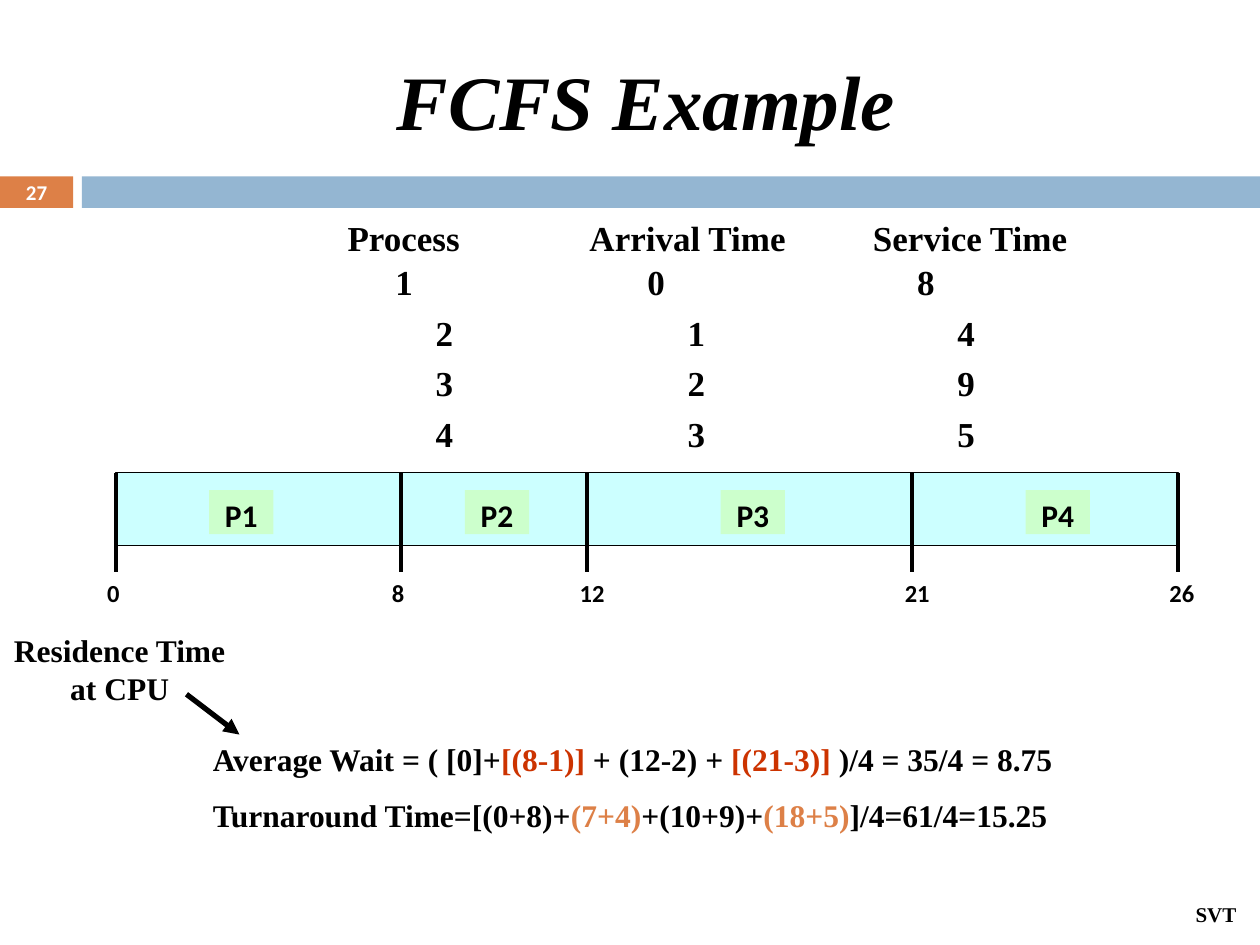
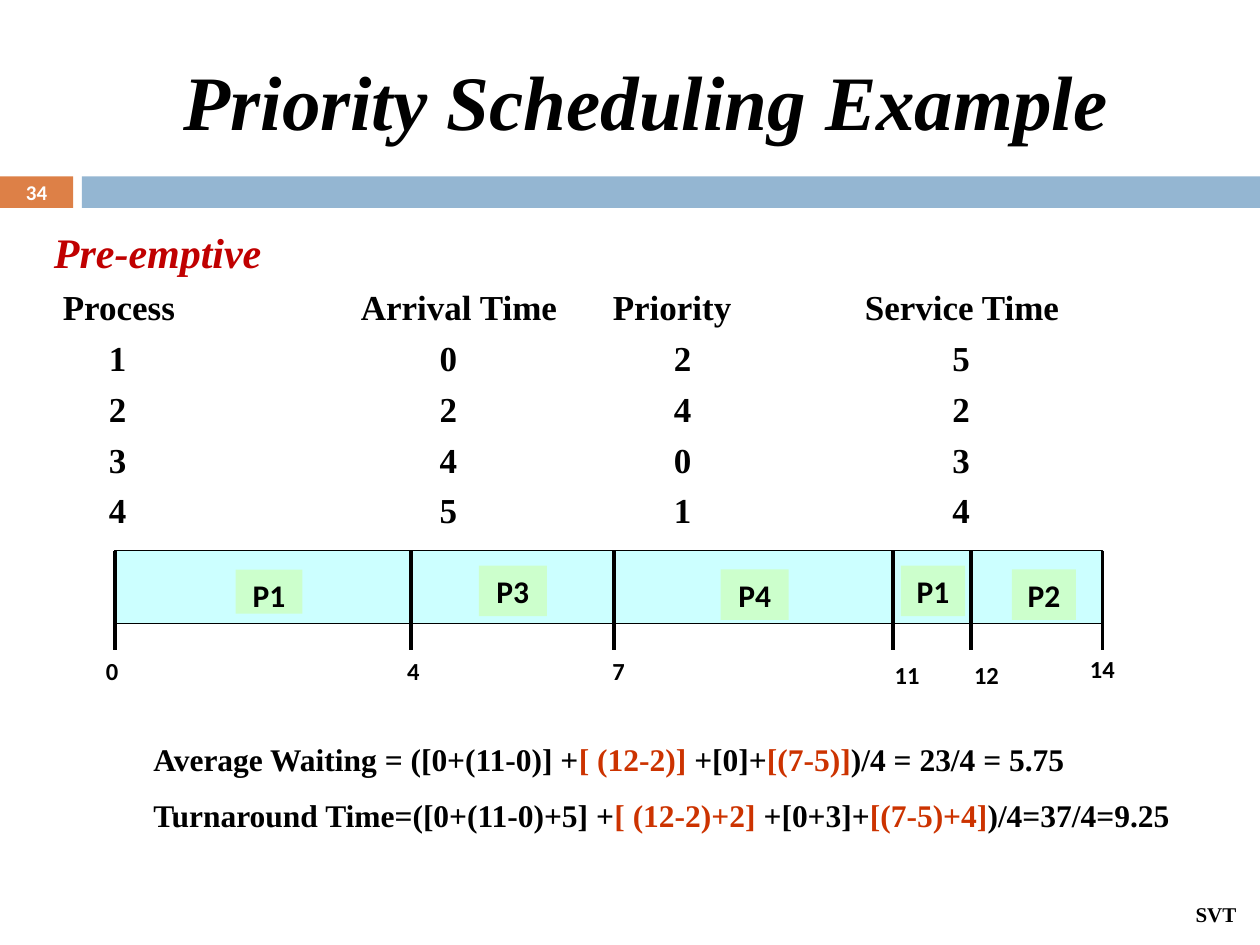
from lxml.etree import SubElement
from pptx import Presentation
from pptx.dml.color import RGBColor
from pptx.enum.shapes import MSO_CONNECTOR, MSO_SHAPE
from pptx.enum.text import MSO_ANCHOR, PP_ALIGN
from pptx.oxml.ns import qn
from pptx.util import Inches, Pt

COLORS = {
    "black": "000000", "white": "FFFFFF", "orange": "DD8047", "blue": "94B6D2",
    "bar": "CCFFFF", "job": "CCFFCC", "red": "CC3300", "crimson": "C00000",
}
SERIF, SANS = "Times New Roman", "Calibri"
COLUMNS, ROWS = 100, 75


class SchedulingDeck:
    def __init__(self):
        self.deck = Presentation()
        self.deck.slide_width, self.deck.slide_height = Inches(10), Inches(7.5)
        self.page = None

    def column(self, count):
        return round(self.deck.slide_width * count / COLUMNS)

    def row(self, count):
        return round(self.deck.slide_height * count / ROWS)

    def area(self, left, top, width, height):
        return self.column(left), self.row(top), self.column(width), self.row(height)

    def color(self, name):
        return RGBColor.from_string(COLORS[name])

    def start_page(self, title, number):
        self.page = self.deck.slides.add_slide(self.deck.slide_layouts[6])
        self.rectangle((0, 14, 5.8, 2.5), "orange")
        self.rectangle((6.5, 14, 93.5, 2.5), "blue")
        self.text((6.7, 2.5, 89.2, 10.8), [[(title, "black")]], size=44, italic=True,
                  align=PP_ALIGN.CENTER, anchor=MSO_ANCHOR.MIDDLE)
        self.text((0, 13.9, 5.8, 2.7), [[(number, "white")]], size=12, font=SANS,
                  align=PP_ALIGN.CENTER, anchor=MSO_ANCHOR.MIDDLE)
        self.text((93.9, 71.1, 5.3, 3), [[("SVT", "black")]], size=12, wrap=False)

    def rectangle(self, area, fill, line=None):
        shape = self.page.shapes.add_shape(MSO_SHAPE.RECTANGLE, *self.area(*area))
        shape.shadow.inherit = False
        shape.fill.solid()
        shape.fill.fore_color.rgb = self.color(fill)
        if line:
            shape.line.color.rgb = self.color(line)
            shape.line.width = Pt(0.75)
        else:
            shape.line.fill.background()
        return shape

    def add_spans(self, para, spans, size, font=SERIF, italic=False):
        for words, color in spans:
            span = para.add_run()
            span.text = words
            span.font.name, span.font.size = font, Pt(size)
            span.font.bold, span.font.italic = True, italic
            span.font.color.rgb = self.color(color)

    def fill_frame(self, frame, paragraphs, size, font=SERIF, italic=False,
                   align=PP_ALIGN.LEFT, anchor=MSO_ANCHOR.TOP, spacing=1.0, wrap=True):
        frame.word_wrap = wrap
        frame.vertical_anchor = anchor
        for index, spans in enumerate(paragraphs):
            para = frame.add_paragraph() if index else frame.paragraphs[0]
            para.alignment, para.line_spacing = align, spacing
            self.add_spans(para, spans, size, font, italic)

    def text(self, area, paragraphs, size=18, **style):
        box = self.page.shapes.add_textbox(*self.area(*area))
        self.fill_frame(box.text_frame, paragraphs, size, **style)

    def line(self, start, end, width=2.25, arrow=False):
        line = self.page.shapes.add_connector(
            MSO_CONNECTOR.STRAIGHT, self.column(start[0]), self.row(start[1]),
            self.column(end[0]), self.row(end[1]))
        line.line.color.rgb = self.color("black")
        line.line.width = Pt(width)
        properties = line._element.spPr
        if arrow:
            SubElement(properties.find(qn("a:ln")), qn("a:tailEnd"), type="triangle")
        SubElement(properties, qn("a:effectLst"))

    def process_list(self, top, rows, heading=None):
        left, inset = 3.3, 1
        box = self.page.shapes.add_textbox(*self.area(left, top, 94.2, 23.3))
        frame = box.text_frame
        frame.word_wrap = True
        para = frame.paragraphs[0]
        if heading:
            self.add_spans(para, [(heading, "crimson")], 24, italic=True)
            para = frame.add_paragraph()
        for index, (cells, stops, gap) in enumerate(rows):
            if index:
                para = frame.add_paragraph()
            para.space_before = Pt(gap)
            tabs = SubElement(para._p.get_or_add_pPr(), qn("a:tabLst"))
            for stop in stops:
                SubElement(tabs, qn("a:tab"), algn="l",
                           pos=str(self.column(stop - left - inset)))
            self.add_spans(para, [("\t" + cell, "black") for cell in cells], 20)

    def gantt(self, top, marks, jobs):
        first, last = marks[0][1], marks[-1][1]
        self.rectangle((first, top, last - first, 5.8), "bar", "black")
        for time, place, center, label_top in marks:
            self.line((place, top), (place, top + 7.9))
            self.text((center - 2, label_top, 4, 3), [[(time, "black")]], size=14,
                      font=SANS, align=PP_ALIGN.CENTER, wrap=False)
        for name, *area in jobs:
            shape = self.rectangle(area, "job")
            self.fill_frame(shape.text_frame, [[(name, "black")]], 18, font=SANS,
                            align=PP_ALIGN.CENTER, wrap=False)

    def formulas(self, left, width, paragraphs):
        self.text((left, 56.7, width, 10.1), paragraphs, spacing=1.5, wrap=False)


def fcfs_page(deck):
    deck.start_page("FCFS Example", "27")
    inner = (34.6, 54.6, 76)
    deck.process_list(16.7, [
        (("Process", "Arrival Time", "Service Time"), (27.6, 46.8, 69.3), 4),
        (("1", "0", "8"), (31.4, 51.4, 72.8), 1),
        (("2", "1", "4"), inner, 5),
        (("3", "2", "9"), inner, 5),
        (("4", "3", "5"), inner, 5),
    ])
    ticks = [("0", 9.2, 9), ("8", 31.8, 31.6), ("12", 46.6, 47),
             ("21", 72.4, 72.8), ("26", 93.5, 93.8)]
    lefts = (16.6, 36.9, 57.2, 81.4)
    deck.gantt(37.5, [(*tick, 45.4) for tick in ticks],
               [(f"P{number}", left, 38.9, 5.1, 3.5)
                for number, left in enumerate(lefts, 1)])
    deck.formulas(15.9, 68.8, [
        [("Average Wait = ( [0]+", "black"), ("[(8-1)] ", "red"),
         ("+ (12-2) + ", "black"), ("[(21-3)] ", "red"),
         (")/4 = 35/4 = 8.75", "black")],
        [("Turnaround Time=[(0+8)+", "black"), ("(7+4)", "orange"),
         ("+(10+9)+", "black"), ("(18+5)", "orange"), ("]/4=61/4=15.25", "black")],
    ])
    deck.text((0, 49.6, 19, 7.1),
              [[("Residence Time", "black")], [("at CPU", "black")]],
              align=PP_ALIGN.CENTER, wrap=False)
    deck.line((14.8, 55.1), (19, 58.3), width=3, arrow=True)


def priority_page(deck):
    deck.start_page("Priority Scheduling Example", "34")
    inner = (8.65, 34.9, 53.5, 75.6)
    values = ("1025", "2242", "3403", "4514")
    deck.process_list(17.5, [
        (("Process", "Arrival Time", "Priority", "Service Time"),
         (5, 28.65, 48.65, 68.65), 5),
        *((tuple(digits), inner, 5) for digits in values),
    ], heading="Pre-emptive")
    deck.formulas(11.2, 82.7, [
        [("Average Waiting = ([0+(11-0)] +", "black"), ("[ (12-2)]", "red"),
         (" +[0]+", "black"), ("[(7-5)]", "red"), (")/4 = 23/4 = 5.75", "black")],
        [("Turnaround Time=([0+(11-0)+5] +", "black"), ("[ (12-2)+2] ", "red"),
         ("+[0+3]+", "black"), ("[(7-5)+4]", "red"), (")/4=37/4=9.25", "black")],
    ])
    deck.gantt(43.7, [
        ("0", 9.1, 8.9, 51.6), ("4", 32.6, 32.8, 51.6), ("7", 48.7, 49.1, 51.6),
        ("11", 70.9, 72, 51.9), ("12", 77.1, 78.3, 51.9), ("14", 87.5, 87.5, 51.4),
    ], [
        ("P1", 18.7, 45.2, 5.3, 3.5), ("P3", 38, 44.9, 5.4, 4),
        ("P4", 57.2, 45.2, 5.4, 4), ("P1", 71.5, 44.9, 5.1, 4),
        ("P2", 80.3, 45.2, 5.1, 4),
    ])


def main():
    deck = SchedulingDeck()
    fcfs_page(deck)
    priority_page(deck)
    deck.deck.save("out.pptx")


if __name__ == "__main__":
    main()
